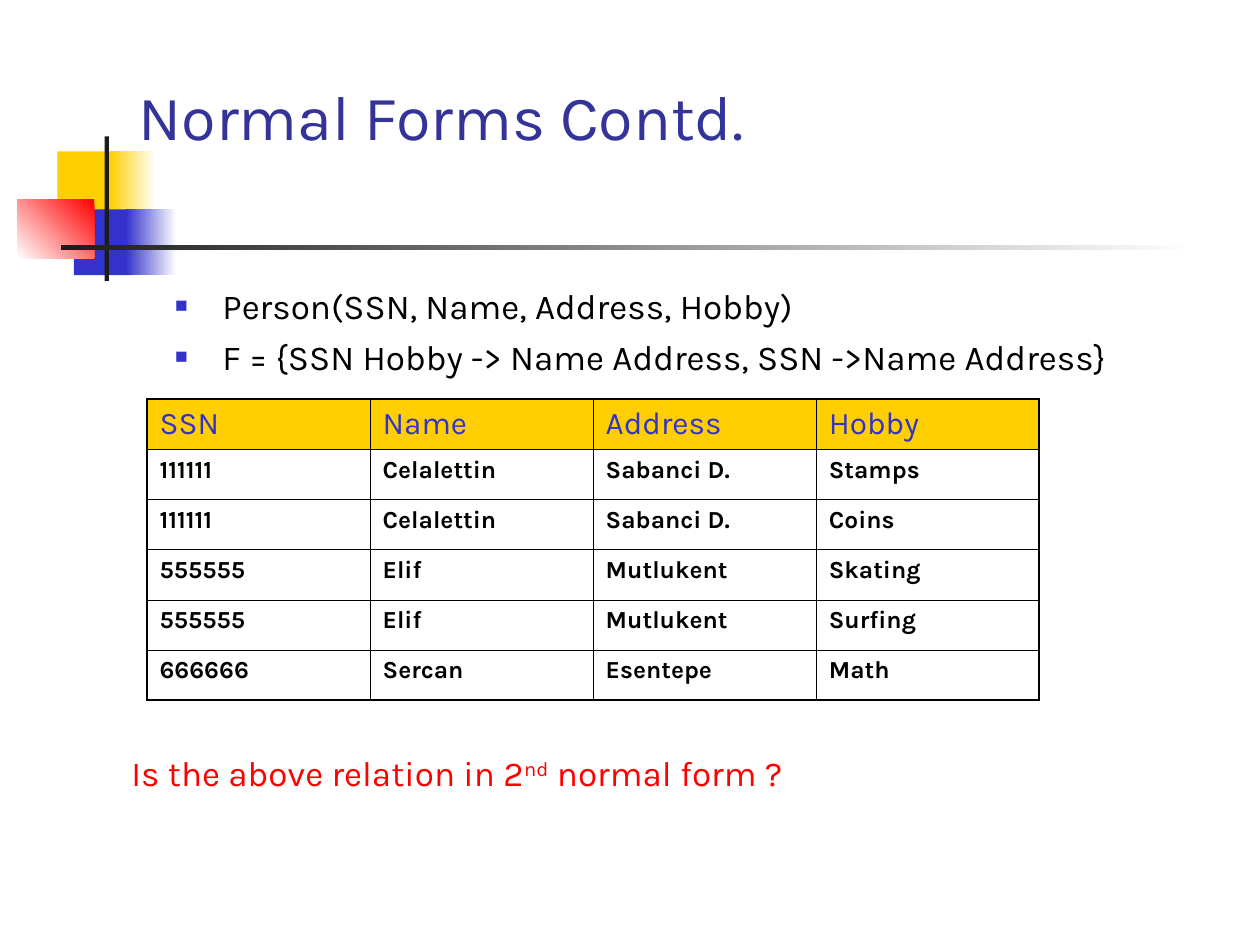
import pptx
import pptx.util
import pptx.dml.color
import pptx.enum.shapes
import pptx.enum.text
import pptx.oxml
import pptx.oxml.ns
import lxml.etree

Pt = pptx.util.Pt
FONT = "Karla"
INK = {
    "gold": "FFCF01", "blue": "3333CC", "red": "FF0000", "dark": "1C1C1C",
    "white": "FFFFFF", "black": "000000", "title": "333399",
}
ROWS = [
    ["SSN", "Name", "Address", "Hobby"],
    ["111111", "Celalettin", "Sabanci D.", "Stamps"],
    ["111111", "Celalettin", "Sabanci D.", "Coins"],
    ["555555", "Elif", "Mutlukent", "Skating"],
    ["555555", "Elif", "Mutlukent", "Surfing"],
    ["666666", "Sercan", "Esentepe", "Math"],
]


def color(name):
    return pptx.dml.color.RGBColor.from_string(INK[name])


def node(parent, tag, **attrs):
    return lxml.etree.SubElement(parent, pptx.oxml.ns.qn(tag), attrs)


def style(para, size, ink, bold=False):
    for run in para.runs:
        run.font.name = FONT
        run.font.size = Pt(size)
        run.font.bold = bold
        run.font.color.rgb = color(ink)


def block(slide, box, ink, fade=None, angle=180):
    shape = slide.shapes.add_shape(
        pptx.enum.shapes.MSO_SHAPE.RECTANGLE, *map(Pt, box))
    shape.shadow.inherit = False
    shape.line.fill.background()
    if fade is None:
        shape.fill.solid()
        shape.fill.fore_color.rgb = color(ink)
        return
    shape.fill.gradient()
    shape.fill.gradient_angle = angle
    for stop, name in zip(shape.fill.gradient_stops, (ink, fade)):
        stop.color.rgb = color(name)


def decor(slide, box):
    left, top, width, height = box
    block(slide, (left + 23, top + 8.5, 35, 37.5), "gold")
    block(slide, (left + 53, top + 8.5, 26, 37.5), "white", "gold")
    block(slide, (left + 32.5, top + 41.7, 33, 37.5), "blue")
    block(slide, (left + 62, top + 41.7, 29, 37.5), "white", "blue")
    block(slide, (left, top + 36, 44, 33.5), "red", "white", 225)
    block(slide, (left + 50, top, 2.4, height), "dark")
    block(slide, (left + 25, top + 62.2, width - 25, 2.4), "white", "dark")


def title(slide, box):
    head = slide.shapes.title
    head.left, head.top, head.width, head.height = map(Pt, box)
    frame = head.text_frame
    frame.text = "Normal Forms Contd."
    frame.vertical_anchor = pptx.enum.text.MSO_ANCHOR.BOTTOM
    frame.paragraphs[0].alignment = pptx.enum.text.PP_ALIGN.LEFT
    style(frame.paragraphs[0], 36, "title")


def bullets(slide, box):
    frame = slide.shapes.add_textbox(*map(Pt, box)).text_frame
    frame.word_wrap = True
    frame.text = ("Person(SSN, Name, Address, Hobby)\n"
                  "F = {SSN Hobby -> Name Address, SSN ->Name Address}")
    for para in frame.paragraphs:
        para.space_before = Pt(5)
        style(para, 20, "black")
        props = para._p.get_or_add_pPr()
        props.set("marL", str(Pt(27)))
        props.set("indent", str(Pt(-27)))
        node(node(props, "a:buClr"), "a:srgbClr", val=INK["blue"])
        node(props, "a:buSzPct", val="60000")
        node(props, "a:buFont", typeface="Arial")
        node(props, "a:buChar", char="■")


def border(cell, edges):
    props = cell._tc.get_or_add_tcPr()
    for side, outer in zip("LRTB", edges):
        width = Pt(1.08 if outer else 0.45)
        line = node(props, f"a:ln{side}", w=str(width))
        node(node(line, "a:solidFill"), "a:srgbClr", val=INK["black"])


def grid(slide, box):
    rows, cols = len(ROWS), len(ROWS[0])
    table = slide.shapes.add_table(rows, cols, *map(Pt, box)).table
    table.first_row = table.horz_banding = False
    for r, row in enumerate(ROWS):
        for c, word in enumerate(row):
            cell = table.cell(r, c)
            border(cell, (c == 0, c == cols - 1, r == 0, r == rows - 1))
            cell.text_frame.text = word
            para = cell.text_frame.paragraphs[0]
            if r == 0:
                cell.fill.solid()
                cell.fill.fore_color.rgb = color("gold")
                para.space_before = Pt(4.5)
                style(para, 18, "blue")
            else:
                cell.fill.background()
                para.space_before = Pt(3.5)
                style(para, 14, "black", True)


def query(slide, box):
    frame = slide.shapes.add_textbox(*map(Pt, box)).text_frame
    frame.word_wrap = False
    para = frame.paragraphs[0]
    for word in ("Is the above relation in 2", "nd", " normal form ?"):
        para.add_run().text = word
    style(para, 20, "red")
    para.runs[1]._r.get_or_add_rPr().set("baseline", "30000")


def main():
    deck = pptx.Presentation()
    deck.slide_width, deck.slide_height = Pt(720), Pt(540)
    slide = deck.slides.add_slide(deck.slide_layouts[5])
    decor(slide, (9.8, 78, 673, 82.5))
    title(slide, (72, 42, 613.5, 49))
    bullets(slide, (93, 159, 612, 75))
    query(slide, (68, 426, 400, 32))
    grid(slide, (84, 228, 510, 172))
    deck.save("out.pptx")


if __name__ == "__main__":
    main()
